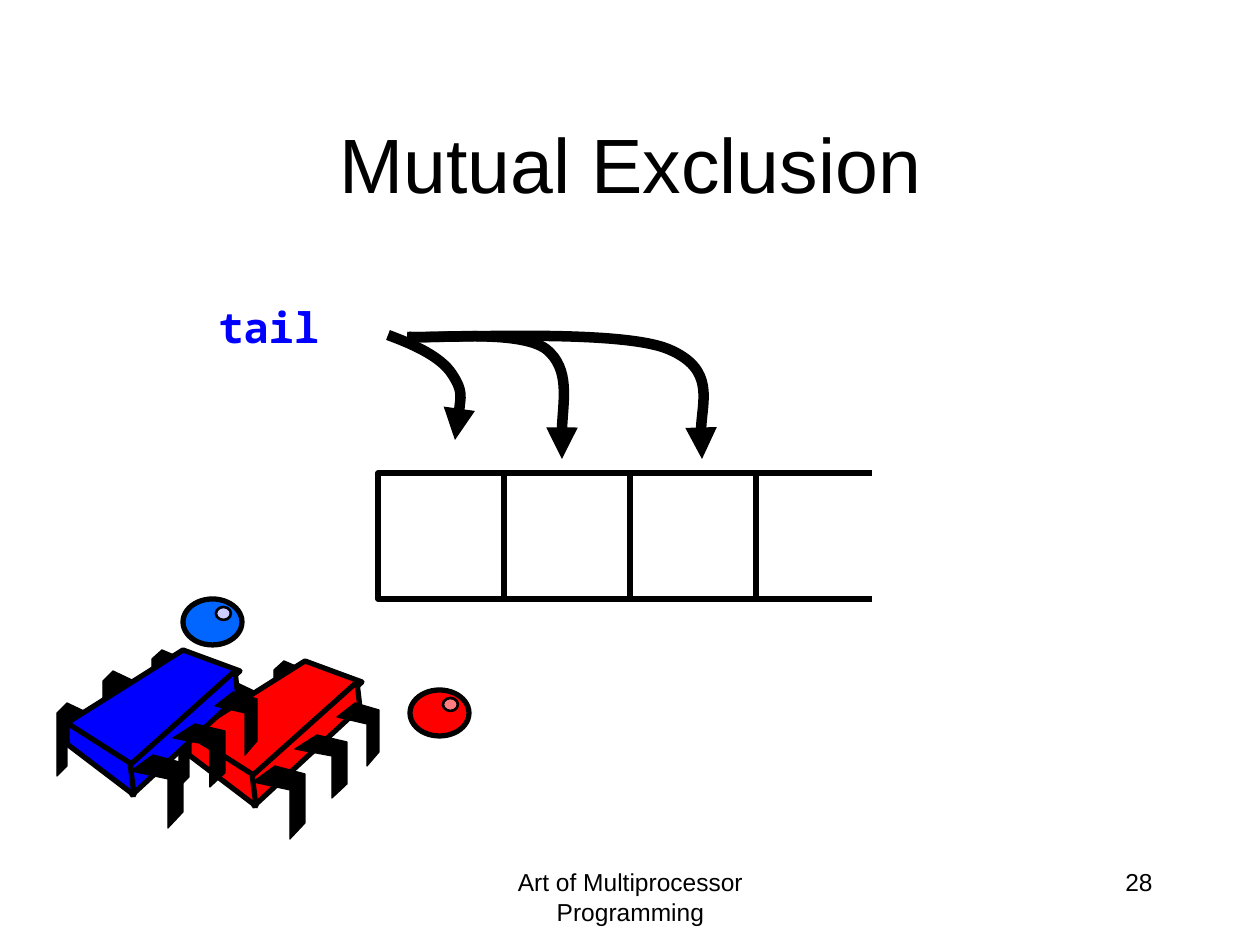
from pptx import Presentation
from pptx.dml.color import RGBColor as RGB
from pptx.enum.shapes import MSO_CONNECTOR as LINK, MSO_SHAPE as SHAPE
from pptx.enum.text import MSO_ANCHOR as ANCHOR, PP_ALIGN as ALIGN
from pptx.oxml.ns import qn
from pptx.util import Pt
from lxml.etree import SubElement as Sub

PX = 914400 / 126
BLACK = RGB(0x00, 0x00, 0x00)
BLUE = RGB(0x00, 0x00, 0xFF)
RED = RGB(0xFF, 0x00, 0x00)
SKY = RGB(0x00, 0x66, 0xFF)
LILAC = RGB(0xCC, 0xCC, 0xFF)
PINK = RGB(0xFF, 0x7C, 0x80)

# Legs on a grid: columns, rows, points
BACK = 3, 7, [(3, 1), (1, 0), (0, 1), (0, 7), (1, 6), (1, 2), (3, 3)]
FRONT = 7, 9, [(3, 0), (0, 2), (5, 3), (5, 9), (7, 7), (7, 1)]
BACK_BOXES = [(0, 53, 31, 73), (46, 21, 31, 73), (95, 0, 31, 63)]
FRONT_BOXES = [(74, 105, 52, 73), (116, 74, 52, 63), (158, 42, 42, 63)]
BODY = [
    [(126, 0), (10, 73), (75, 117), (183, 21)],
    [(178, 21), (73, 115), (75, 145), (181, 47)],
    [(10, 73), (10, 94), (77, 145), (73, 113)],
]
CURVES = [
    [(388, 335), (415, 345), (441, 357), (452, 374), (464, 392), (459, 416), (455, 440)],
    [(407, 337), (430, 339), (519, 329), (546, 349), (571, 369), (559, 440), (562, 459)],
    [(409, 337), (452, 338), (619, 329), (668, 349), (716, 369), (696, 436), (702, 459)],
]


def emu(*nums):
    return [round(n * PX) for n in nums]


def style(shape, fill, width):
    shape.shadow.inherit = False
    if fill is None:
        shape.fill.background()
    else:
        shape.fill.solid()
        shape.fill.fore_color.rgb = fill
    shape.line.color.rgb = BLACK
    shape.line.width = Pt(width)


def outline(shapes, points, fill, width, close=True):
    build = shapes.build_freeform(*points[0], scale=PX)
    build.add_line_segments(points[1:], close=close)
    shape = build.convert_to_shape()
    style(shape, fill, width)
    return shape


def write(frame, text, align, anchor=ANCHOR.TOP, **format):
    frame.word_wrap = True
    frame.vertical_anchor = anchor
    frame.text = text
    para = frame.paragraphs[0]
    para.alignment = align
    font = para.runs[0].font
    font.color.rgb = format.pop("color", BLACK)
    for key, value in {"name": "Arial", **format}.items():
        setattr(font, key, value)


def title(slide, box, text):
    head = slide.shapes.title
    for key, value in zip(("left", "top", "width", "height"), emu(*box)):
        setattr(head, key, value)
    write(head.text_frame, text, ALIGN.CENTER, ANCHOR.MIDDLE, size=Pt(44))


def label(slide, box, text, align, **format):
    frame = slide.shapes.add_textbox(*emu(*box)).text_frame
    write(frame, text, align, **format)
    return frame


def ball(slide, x, y, fill, shine):
    shapes = slide.shapes.add_group_shape().shapes
    for box, color, width in [((x, y, 59, 46), fill, 3),
                              ((x + 33, y + 8, 15, 13), shine, 1.5)]:
        style(shapes.add_shape(SHAPE.OVAL, *emu(*box)), color, width)


def legs(shapes, x, y, kind, boxes):
    cols, rows, points = kind
    for left, top, wide, high in boxes:
        leg = [(x + left + c * wide / cols, y + top + r * high / rows)
               for c, r in points]
        outline(shapes, leg, BLACK, 0.75)


def bug(slide, x, y, fill):
    shapes = slide.shapes.add_group_shape().shapes
    legs(shapes, x, y, BACK, BACK_BOXES)
    for side in BODY:
        outline(shapes, [(x + a, y + b) for a, b in side], fill, 3)
    legs(shapes, x, y, FRONT, FRONT_BOXES)


def queue(slide, x, y, cell, count):
    """Closed cells followed by an open one."""
    for i in range(count):
        box = emu(x + i * cell, y, cell, cell)
        style(slide.shapes.add_shape(SHAPE.RECTANGLE, *box), None, 3)
    start = x + count * cell - 10
    for row in (y, y + cell):
        ends = emu(start, row, start + cell, row)
        edge = slide.shapes.add_connector(LINK.STRAIGHT, *ends)
        edge.line.color.rgb = BLACK
        edge.line.width = Pt(3)
        Sub(edge._element.spPr, qn("a:effectLst"))


def arrow(slide, points):
    """Turn each three segments into one Bezier curve with a head at its end."""
    shape = outline(slide.shapes, points, None, 6, close=False)
    route = shape._element.xpath(".//a:path")[0]
    steps = route.findall(qn("a:lnTo"))
    for i in range(0, len(steps), 3):
        curve = Sub(route, qn("a:cubicBezTo"))
        for step in steps[i:i + 3]:
            curve.append(step[0])
            route.remove(step)
    Sub(shape.line._get_or_add_ln(), qn("a:tailEnd"), type="triangle")


def main():
    deck = Presentation()
    deck.slide_width, deck.slide_height = emu(1260, 945)
    slide = deck.slides.add_slide(deck.slide_layouts[5])
    title(slide, (95, 84, 1071, 158), "Mutual Exclusion")
    label(slide, (431, 861, 399, 63), "Art of Multiprocessor Programming",
          ALIGN.CENTER, size=Pt(14))
    label(slide, (903, 861, 262, 63), "28", ALIGN.RIGHT, size=Pt(14))
    ball(slide, 183, 599, SKY, LILAC)
    queue(slide, 378, 473, 126, 3)
    bug(slide, 179, 661, RED)
    bug(slide, 57, 650, BLUE)
    ball(slide, 410, 690, RED, PINK)
    tail = label(slide, (206, 305, 158, 53), "tail", ALIGN.LEFT,
                 name="Noto Sans Mono", size=Pt(24), bold=True, color=BLUE)
    tail.word_wrap = False
    tail.paragraphs[0].line_spacing = 0.8
    for points in CURVES:
        arrow(slide, points)
    deck.save("out.pptx")


if __name__ == "__main__":
    main()
